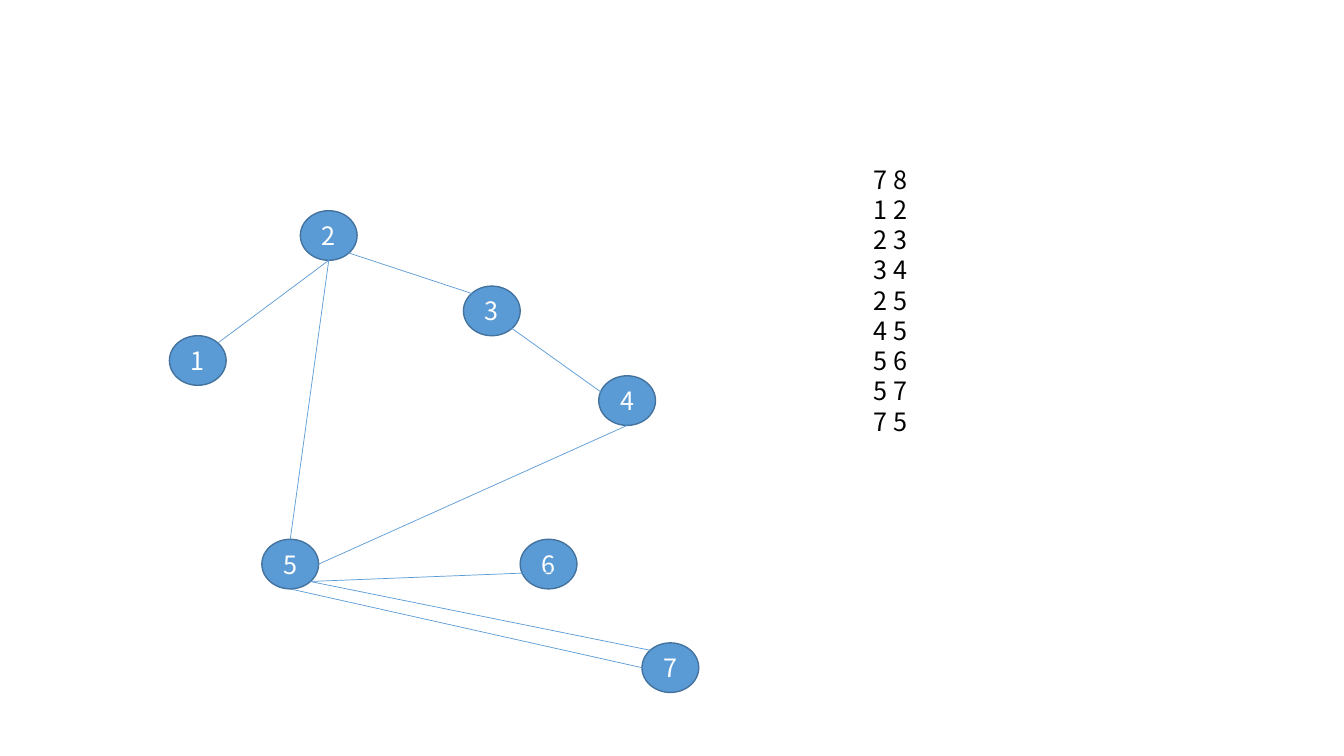
from typing import NamedTuple

from lxml.etree import SubElement
from pptx import Presentation
from pptx.dml.color import RGBColor
from pptx.enum.shapes import MSO_CONNECTOR as Link, MSO_SHAPE as Form
from pptx.enum.text import MSO_ANCHOR as Anchor, PP_ALIGN as Align
from pptx.oxml.ns import qn
from pptx.util import Cm, Pt

FONT = "Noto Sans CJK SC"
WIDE, HIGH = 1.43, 1.25


class Node(NamedTuple):
    left: float
    top: float


class Spot(NamedTuple):
    x: float
    y: float


class Edge(NamedTuple):
    start: int
    out: Spot
    end: int
    into: Spot


TOP = Spot(0.5, 0)
LEFT = Spot(0, 0.5)
RIGHT = Spot(1, 0.5)
BASE = Spot(0.5, 1)
NW = Spot(0.15, 0.15)
NE = Spot(0.85, 0.15)
SE = Spot(0.85, 0.85)

NODES = {
    1: Node(4.27, 8.46),
    2: Node(7.57, 5.31),
    3: Node(11.68, 7.21),
    4: Node(15.09, 9.47),
    5: Node(6.6, 13.59),
    6: Node(13.11, 13.59),
    7: Node(16.18, 16.2),
}

EDGES = [
    Edge(2, BASE, 1, NE),
    Edge(2, SE, 3, NW),
    Edge(3, SE, 4, Spot(0.25, 0.5)),
    Edge(2, BASE, 5, TOP),
    Edge(4, BASE, 5, RIGHT),
    Edge(5, SE, 6, Spot(0.75, 0.65)),
    Edge(5, BASE, 7, LEFT),
    Edge(5, SE, 7, NW),
]

PAIRS = ["7 8", "1 2", "2 3", "3 4", "2 5", "4 5", "5 6", "5 7", "7 5"]


def color(code: str) -> RGBColor:
    return RGBColor.from_string(code)


def style(para, code: str, align: Align) -> None:
    para.alignment = align
    for run in para.runs:
        run.font.name = FONT
        run.font.size = Pt(18)
        run.font.color.rgb = color(code)


def draw_node(slide, label: int, node: Node) -> None:
    oval = slide.shapes.add_shape(
        Form.OVAL, Cm(node.left), Cm(node.top), Cm(WIDE), Cm(HIGH))
    oval.shadow.inherit = False
    oval.fill.solid()
    oval.fill.fore_color.rgb = color("5B9BD5")
    oval.line.color.rgb = color("43739E")
    oval.line.width = Pt(1)
    frame = oval.text_frame
    frame.margin_left = frame.margin_right = 0
    frame.margin_top = frame.margin_bottom = 0
    frame.vertical_anchor = Anchor.MIDDLE
    frame.text = str(label)
    style(frame.paragraphs[0], "FFFFFF", Align.CENTER)


def place(label: int, spot: Spot) -> tuple[Cm, Cm]:
    node = NODES[label]
    return Cm(node.left + spot.x * WIDE), Cm(node.top + spot.y * HIGH)


def draw_edge(slide, edge: Edge) -> None:
    line = slide.shapes.add_connector(
        Link.STRAIGHT, *place(edge.start, edge.out), *place(edge.end, edge.into))
    line.line.color.rgb = color("5B9BD5")
    line.line.width = Pt(0.5)
    SubElement(line._element.spPr, qn("a:effectLst"))


def draw_list(slide, pairs: list[str]) -> None:
    box = slide.shapes.add_textbox(Cm(21.77), Cm(4.01), Cm(1.37), Cm(7.19))
    frame = box.text_frame
    frame.word_wrap = False
    frame.text = "\n".join(pairs)
    for para in frame.paragraphs:
        style(para, "000000", Align.LEFT)


def main() -> None:
    deck = Presentation()
    deck.slide_width, deck.slide_height = Cm(33.87), Cm(19.05)
    slide = deck.slides.add_slide(deck.slide_layouts[6])
    for label, node in NODES.items():
        draw_node(slide, label, node)
    for edge in EDGES:
        draw_edge(slide, edge)
    draw_list(slide, PAIRS)
    deck.save("out.pptx")


if __name__ == "__main__":
    main()
